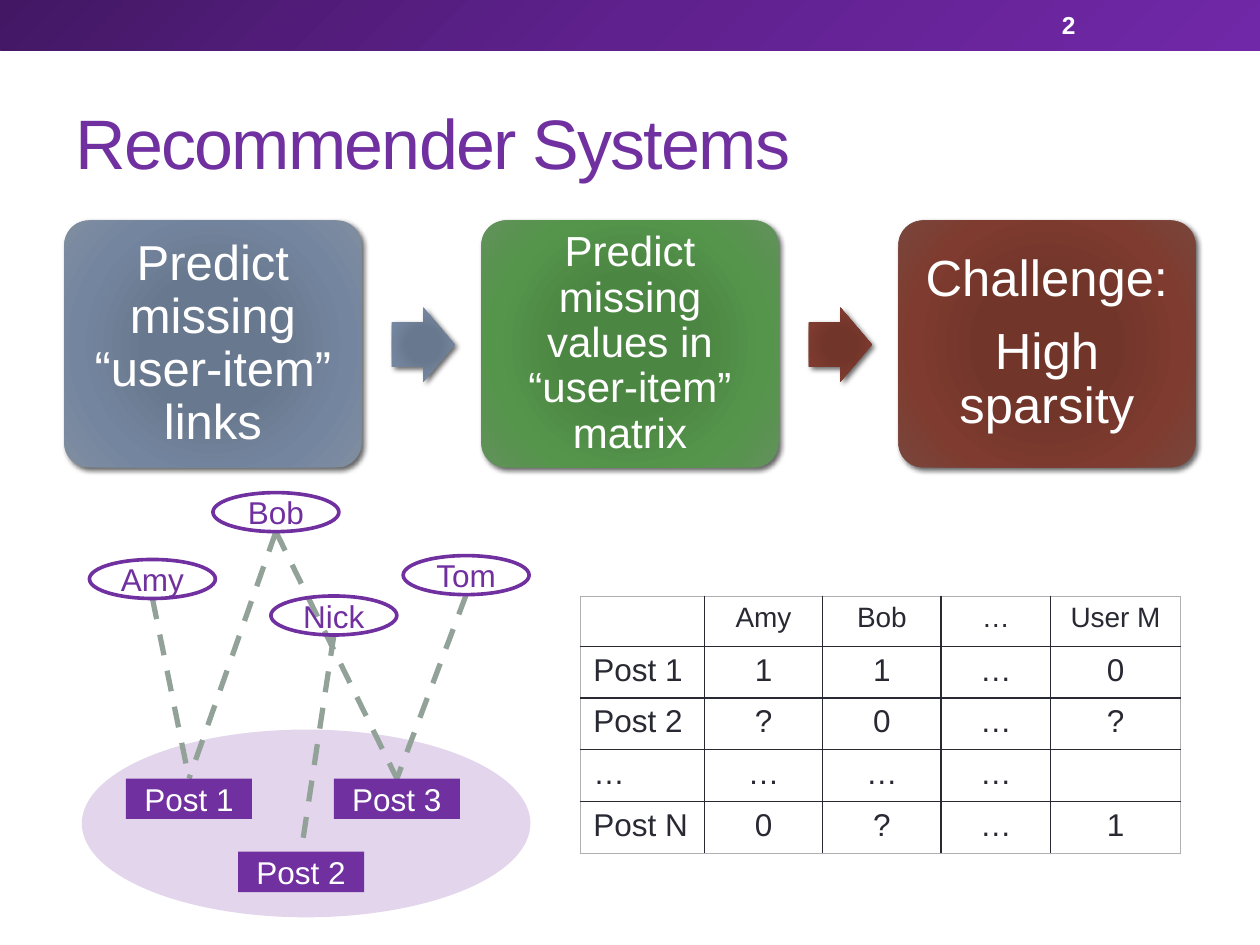
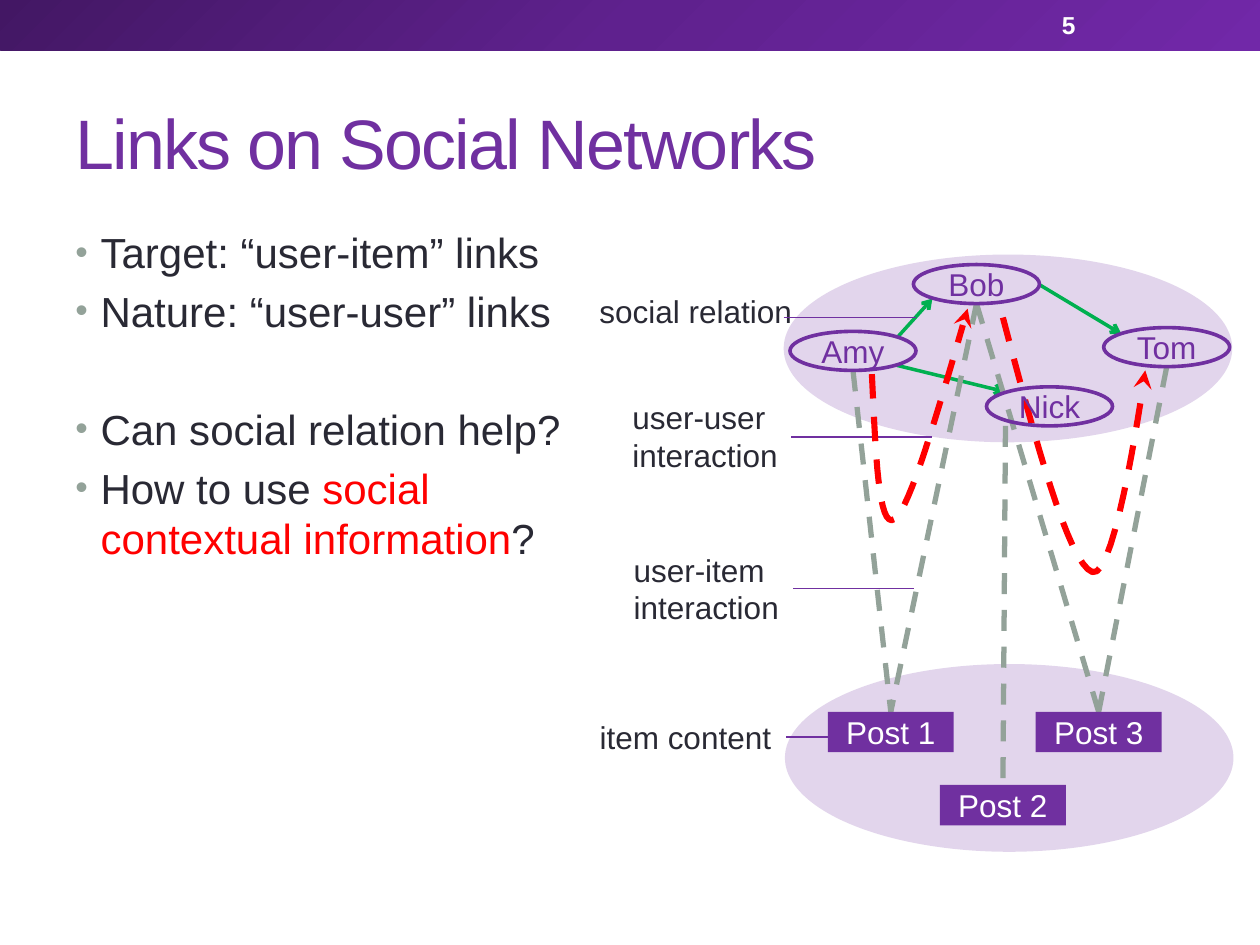
"""Build two slides on recommender systems and links on social networks."""
import pptx
import pptx.util
import pptx.dml.color
import pptx.enum.dml
import pptx.enum.shapes
import pptx.enum.text
import pptx.oxml
import pptx.oxml.ns

Inches, Pt = pptx.util.Inches, pptx.util.Pt
SHAPE = pptx.enum.shapes.MSO_SHAPE
ALIGN = pptx.enum.text.PP_ALIGN
ANCHOR = pptx.enum.text.MSO_ANCHOR
NS = 'xmlns:a="http://schemas.openxmlformats.org/drawingml/2006/main"'
PURPLE, INK, GREY, GREEN, RED, WHITE = "7030A0", "292934", "93A299", "00B050", "FF0000", "FFFFFF"


def rgb(color):
    return pptx.dml.color.RGBColor.from_string(color)


def write(tf, text, size=18, color=INK, bold=False, align=ALIGN.LEFT, anchor=ANCHOR.TOP, wrap=True,
          margin=None, tracking=0, line_spacing=None, before=None, after=None, accent=RED):
    """Fill tf with one paragraph per line; parts between bars take the accent colour."""
    tf.word_wrap, tf.vertical_anchor = wrap, anchor
    if margin is not None:
        tf.margin_left = tf.margin_right = tf.margin_top = tf.margin_bottom = Inches(margin)
    for i, line in enumerate(text.split("\n")):
        p = tf.add_paragraph() if i else tf.paragraphs[0]
        p.alignment, p.line_spacing = align, line_spacing
        p.space_before, p.space_after = before, after
        for j, part in enumerate(line.split("|")):
            r = p.add_run()
            r.text = part
            r.font.name, r.font.size, r.font.bold = "Arial", Pt(size), bold
            r.font.color.rgb = rgb(accent if j % 2 else color)
            if tracking:
                r._r.get_or_add_rPr().set("spc", str(tracking * 100))


prs = pptx.Presentation()
prs.slide_width, prs.slide_height = Inches(10), Inches(7.5)
gradients = []

for title, number in [("Recommender Systems", "2"), ("Links on Social Networks", "5")]:
    s = prs.slides.add_slide(prs.slide_layouts[6])
    band = s.shapes.add_shape(SHAPE.RECTANGLE, 0, 0, Inches(10), Inches(0.4))
    gradients.append((band, [(0, "431764"), (50, "5F218E"), (100, "7128A8")], False))
    tb = s.shapes.add_textbox(Inches(0.5), Inches(0.58), Inches(9), Inches(1.08))
    write(tb.text_frame, title, size=40, color=PURPLE, anchor=ANCHOR.MIDDLE, tracking=-1)
    tb = s.shapes.add_textbox(Inches(8.33), Inches(0.02), Inches(1.17), Inches(0.36))
    write(tb.text_frame, number, size=14, color=WHITE, bold=True, anchor=ANCHOR.MIDDLE)
recommender, social = prs.slides

BLUE_STOPS = [(0, "677790"), (34, "68788E"), (70, "74869F"), (100, "808DA0")]
GREEN_STOPS = [(0, "4A8841"), (34, "4C8643"), (70, "55954B"), (100, "61915A")]
BROWN_STOPS = [(0, "743327"), (34, "72352A"), (70, "7F3B2F"), (100, "79463D")]
steps = [
    ("Predict missing “user-item” links", 28, 0.12, None, BLUE_STOPS, BLUE_STOPS),
    ("Predict missing values in “user-item” matrix", 24, 0.1, None, GREEN_STOPS, BROWN_STOPS),
    ("Challenge:\nHigh sparsity", 29, 0.12, Pt(10), BROWN_STOPS, None),
]
for i, (text, size, margin, after, box_stops, arrow_stops) in enumerate(steps):
    x = 0.51 + 3.31 * i
    sp = recommender.shapes.add_shape(SHAPE.ROUNDED_RECTANGLE, Inches(x), Inches(1.75), Inches(2.36), Inches(1.96))
    sp.adjustments[0] = 0.1
    write(sp.text_frame, text, size=size, color=WHITE, align=ALIGN.CENTER, anchor=ANCHOR.MIDDLE,
          margin=margin, line_spacing=0.9, after=after)
    gradients.append((sp, box_stops, True))
    if arrow_stops:
        sp = recommender.shapes.add_shape(SHAPE.RIGHT_ARROW, Inches(x + 2.6), Inches(2.44), Inches(0.5), Inches(0.59))
        sp.adjustments[0], sp.adjustments[1] = 0.6, 0.5
        gradients.append((sp, arrow_stops, True))

for sp, stops, raised in gradients:
    sp.line.fill.background()
    sp.shadow.inherit = False
    gs = "".join(f'<a:gs pos="{pos * 1000}"><a:srgbClr val="{c}"/></a:gs>' for pos, c in stops)
    shade = '<a:lin ang="2700000" scaled="0"/>'
    if raised:
        shade = '<a:path path="circle"><a:fillToRect l="50000" t="50000" r="50000" b="50000"/></a:path>'
        sp._element.spPr.find(pptx.oxml.ns.qn("a:effectLst")).append(pptx.oxml.parse_xml(
            f'<a:outerShdw {NS} blurRad="38100" dist="25400" dir="2700000" rotWithShape="0">'
            '<a:srgbClr val="000000"><a:alpha val="60000"/></a:srgbClr></a:outerShdw>'))
    sp._element.spPr.insert(2, pptx.oxml.parse_xml(
        f'<a:gradFill {NS} rotWithShape="1"><a:gsLst>{gs}</a:gsLst>{shade}</a:gradFill>'))

rows = [
    ["", "Amy", "Bob", "…", "User M"],
    ["Post 1", "1", "1", "…", "0"],
    ["Post 2", "?", "0", "…", "?"],
    ["…", "…", "…", "…", ""],
    ["Post N", "0", "?", "…", "1"],
]
widths, heights = [0.98, 0.94, 0.94, 0.87, 1.03], [0.38] + [0.41] * 4
tbl = recommender.shapes.add_table(5, 5, Inches(4.61), Inches(4.73), Inches(sum(widths)), Inches(sum(heights))).table
tbl.first_row = tbl.horz_banding = False
for i, row in enumerate(rows):
    tbl.rows[i].height, tbl.columns[i].width = Inches(heights[i]), Inches(widths[i])
    for j, text in enumerate(row):
        cell = tbl.cell(i, j)
        if text:
            write(cell.text_frame, text, size=18 if i else 16, align=ALIGN.CENTER if j or not i else ALIGN.LEFT)
        for side, outer in [("L", j == 0), ("R", j == 4), ("T", i == 0), ("B", i == 4)]:
            w, c = (6350, "B0B0B0") if outer else (12700, INK)
            cell._tc.get_or_add_tcPr().append(pptx.oxml.parse_xml(
                f'<a:ln{side} {NS} w="{w}"><a:solidFill><a:srgbClr val="{c}"/></a:solidFill></a:ln{side}>'))
        cell.fill.background()

tb = social.shapes.add_textbox(Inches(0.5), Inches(1.75), Inches(4.37), Inches(5.33))
write(tb.text_frame, "Target: “user-item” links\nNature: “user-user” links\nCan social relation help?\n"
      "How to use |social contextual information|?", size=24, before=Pt(4.8))
tb.text_frame.paragraphs[2].space_before = Pt(38.5)
for p in tb.text_frame.paragraphs:
    pPr = p._p.get_or_add_pPr()
    pPr.set("marL", "182880")
    pPr.set("indent", "-182880")
    for bullet in [f'<a:buClr {NS}><a:srgbClr val="{GREY}"/></a:buClr>', f'<a:buSzPct {NS} val="85000"/>',
                   f'<a:buFont {NS} typeface="Arial"/>', f'<a:buChar {NS} char="•"/>']:
        pPr.append(pptx.oxml.parse_xml(bullet))

for text, x, y, w, h in [("social relation", 4.66, 2.27, 1.74, 0.4), ("user-user\ninteraction", 4.92, 3.11, 1.37, 0.71),
                         ("user-item\ninteraction", 4.93, 4.32, 1.37, 0.71), ("item content", 4.66, 5.65, 1.58, 0.4)]:
    tb = social.shapes.add_textbox(Inches(x), Inches(y), Inches(w), Inches(h))
    write(tb.text_frame, text, wrap=False)

relations = [(7.12, 2.68, 7.4, 2.37), (7.12, 2.9, 7.98, 3.11), (8.25, 2.26, 8.9, 2.65)]
leaders = [(6.22, 2.52, 7.27, 2.52), (6.28, 3.47, 7.4, 3.47), (7.25, 4.67, 6.29, 4.67), (6.61, 5.85, 6.24, 5.85)]
influences = [
    [(6.92, 2.97), (6.95, 3.59), (6.97, 4.21), (7.1, 4.12), (7.22, 4.04), (7.45, 3.25), (7.68, 2.45)],
    [(7.96, 2.52), (8.22, 3.5), (8.48, 4.47), (8.67, 4.54), (8.86, 4.61), (9.09, 2.94), (9.09, 2.94)],
]
networks = [
    (recommender, {"Amy": (0.71, 4.44), "Tom": (3.2, 4.41), "Bob": (1.69, 3.91), "Nick": (2.15, 4.73)},
     (1, 6.18), 2.65, [(0.65, 5.79)], [], [], []),
    (social, {"Amy": (6.27, 2.63), "Tom": (8.76, 2.6), "Bob": (7.25, 2.1), "Nick": (7.83, 3.07)},
     (6.57, 5.65), 7.98, [(6.22, 2.02), (6.23, 5.27)], relations, leaders, influences),
]
for s, users, (px, py), nick_x, ovals, relations, leaders, influences in networks:
    posts = {"Post 1": (px, py), "Post 2": (px + 0.89, py + 0.58), "Post 3": (px + 1.65, py)}
    for x, y in ovals:
        sp = s.shapes.add_shape(SHAPE.OVAL, Inches(x), Inches(y), Inches(3.56), Inches(1.49))
        sp.shadow.inherit = False
        sp.line.fill.background()
        sp.fill.solid()
        sp.fill.fore_color.rgb = rgb(PURPLE)
        sp._element.spPr.xpath("a:solidFill/a:srgbClr")[0].append(pptx.oxml.parse_xml(f'<a:alpha {NS} val="20000"/>'))

    links = []
    for user, post in [("Amy", "Post 1"), ("Bob", "Post 1"), ("Bob", "Post 3"), ("Tom", "Post 3"), ("Nick", "Post 2")]:
        x = nick_x if user == "Nick" else users[user][0] + 0.5
        links.append((x, users[user][1] + 0.31, posts[post][0] + 0.5, posts[post][1]))
    strokes = []
    for ends, *style in [(relations, GREEN, 2, False, "arrow"), (links, GREY, 3, True, None),
                         (leaders, PURPLE, 1, False, None)]:
        for end in ends:
            line = s.shapes.add_connector(pptx.enum.shapes.MSO_CONNECTOR.STRAIGHT, *map(Inches, end))
            strokes.append((line, *style))
    for curve in influences:
        points = []
        for k in (0, 3):
            for t in [n / 16 for n in range(1, 17)]:
                weights = [(1 - t) ** 3, 3 * t * (1 - t) ** 2, 3 * t * t * (1 - t), t ** 3]
                points.append([Inches(sum(w * pt[axis] for w, pt in zip(weights, curve[k:k + 4]))) for axis in (0, 1)])
        fb = s.shapes.build_freeform(*map(Inches, curve[0]))
        fb.add_line_segments(points, close=False)
        sp = fb.convert_to_shape()
        sp.fill.background()
        strokes.append((sp, RED, 3.5, True, "stealth"))
    for stroke, color, width, dashed, head in strokes:
        stroke.line.color.rgb, stroke.line.width = rgb(color), Pt(width)
        if dashed:
            stroke.line.dash_style = pptx.enum.dml.MSO_LINE.DASH
        if head:
            stroke.line._get_or_add_ln().append(pptx.oxml.parse_xml(f'<a:tailEnd {NS} type="{head}"/>'))
        stroke._element.spPr.append(pptx.oxml.parse_xml(f"<a:effectLst {NS}/>"))

    for name, (x, y) in {**users, **posts}.items():
        is_user = name in users
        sp = s.shapes.add_shape(SHAPE.OVAL if is_user else SHAPE.RECTANGLE, Inches(x), Inches(y),
                                Inches(1), Inches(0.31 if is_user else 0.32))
        sp.shadow.inherit = False
        if is_user:
            sp.fill.background()
            sp.line.color.rgb, sp.line.width = rgb(PURPLE), Pt(2.08)
        else:
            sp.fill.solid()
            sp.fill.fore_color.rgb = rgb(PURPLE)
            sp.line.fill.background()
        write(sp.text_frame, name, color=PURPLE if is_user else WHITE, align=ALIGN.CENTER,
              anchor=ANCHOR.MIDDLE, wrap=False, margin=0)

prs.save("out.pptx")
